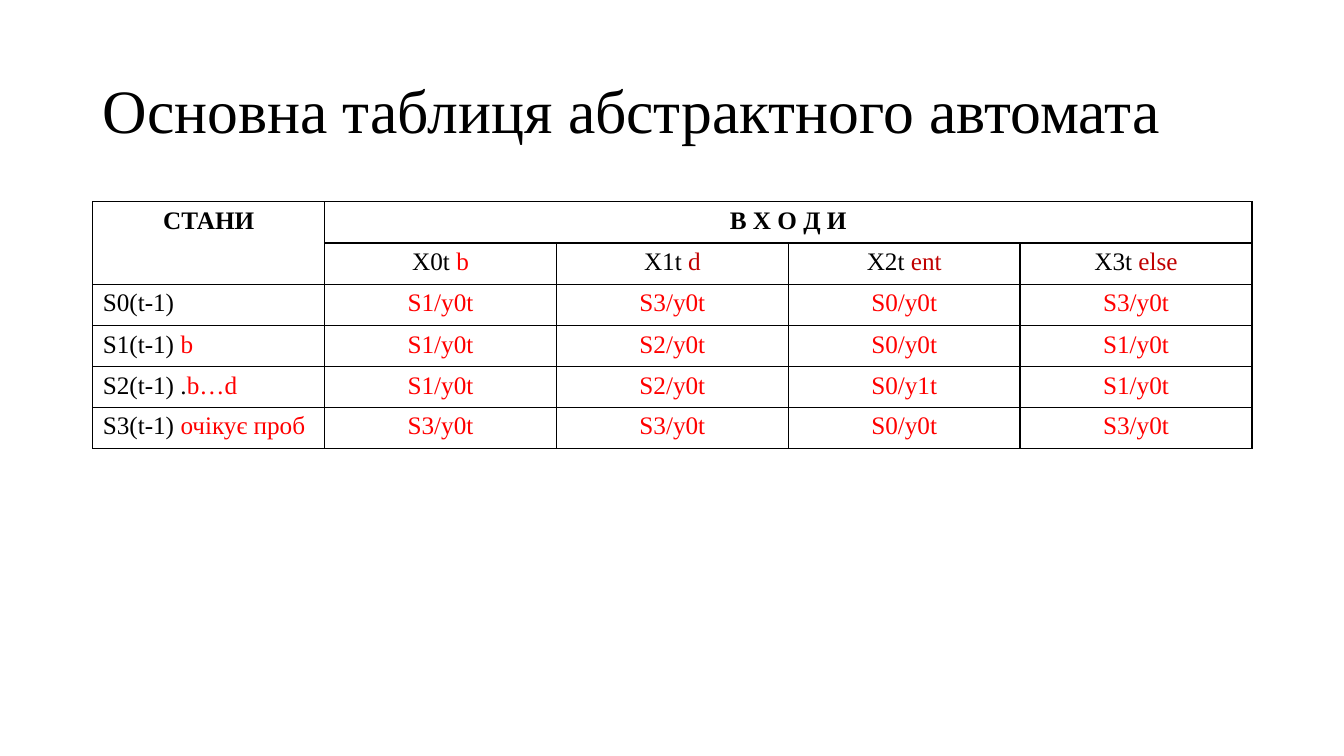
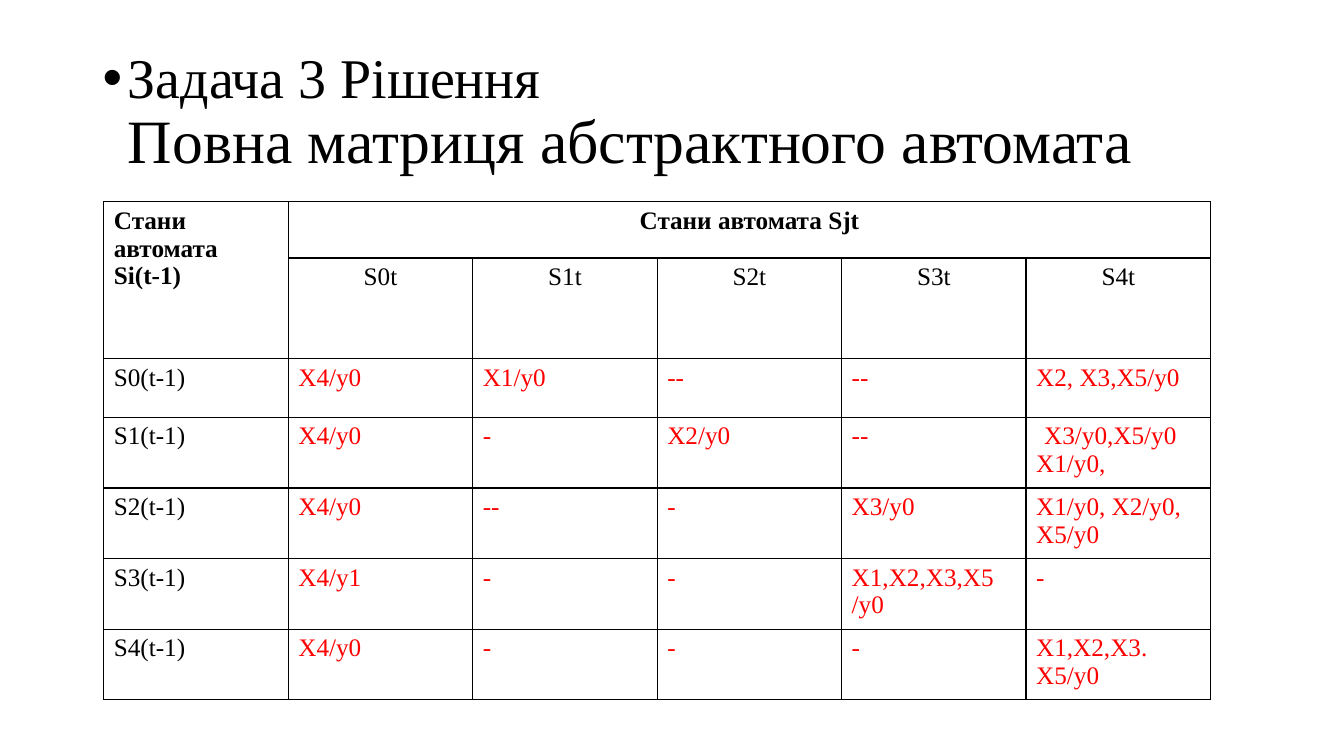
from lxml import etree
from pptx import Presentation
from pptx.dml.color import RGBColor
from pptx.enum.text import MSO_ANCHOR, PP_ALIGN
from pptx.oxml.ns import qn
from pptx.util import Emu, Inches, Pt

LEFT, CENTER, MIDDLE = PP_ALIGN.LEFT, PP_ALIGN.CENTER, MSO_ANCHOR.MIDDLE
BLACK, WHITE, RED, DARK_RED = "000000", "FFFFFF", "FF0000", "C00000"
FONT = "Times New Roman"
TITLE_BOX = (0.92, 0.4, 11.5, 1.45)
TABLE_TOP = 2

# Content: labels are (text, coloured note, note colour)
SLIDES = [
    dict(
        title=[("Основна таблиця абстрактного автомата", 44)],
        bullet=False, left=0.92, col_width=2.3,
        heights=[0.41, 0.41, 0.41, 0.41, 0.38, 0.41],
        corner="СТАНИ", corner_align=CENTER, heading="В Х О Д И",
        columns=[("Х0t ", "b", RED), ("X1t ", "d", DARK_RED),
                 ("X2t ", "ent", DARK_RED), ("X3t ", "else", DARK_RED)],
        rows=[(("S0(t-1)",), "S1/y0t", "S3/y0t", "S0/y0t", "S3/y0t"),
              (("S1(t-1) ", "b", RED), "S1/y0t", "S2/y0t", "S0/y0t", "S1/y0t"),
              (("S2(t-1) .", "b…d", RED), "S1/y0t", "S2/y0t", "S0/y1t", "S1/y0t"),
              (("S3(t-1) ", "очікує проб", RED), "S3/y0t", "S3/y0t", "S0/y0t", "S3/y0t")],
        value_align=CENTER, indents={},
    ),
    dict(
        title=[("Задача 3 Рішення", 40), ("Повна матриця абстрактного автомата", 44)],
        bullet=True, left=1.03, col_width=1.83,
        heights=[0.56, 0.92, 0.58] + [0.65] * 4,
        corner="Стани автомата\nSi(t-1)", corner_align=LEFT, heading="Стани автомата Sjt",
        columns=[("S0t",), ("S1t",), ("S2t",), ("S3t",), ("S4t",)],
        rows=[(("S0(t-1)",), "X4/y0", "X1/y0", "--", "--", "X2, X3,X5/y0"),
              (("S1(t-1)",), "X4/y0", "-", "X2/y0", "--", "X3/y0,X5/y0\nX1/y0,"),
              (("S2(t-1)",), "X4/y0", "--", "-", "X3/y0", "X1/y0, X2/y0, X5/y0"),
              (("S3(t-1)",), "X4/y1", "-", "-", "X1,X2,X3,X5\n/y0", "-"),
              (("S4(t-1)",), "X4/y0", "-", "-", "-", "X1,X2,X3.\nX5/y0")],
        value_align=LEFT, indents={(3, 5): 0.08},  # first-line indent by (row, column)
    ),
]


def rgb(value):
    return RGBColor.from_string(value)


def add_run(p, text, size=18, color=BLACK, bold=False):
    r = p.add_run()
    r.text = text
    for name, value in dict(name=FONT, size=Pt(size), bold=bold).items():
        setattr(r.font, name, value)
    r.font.color.rgb = rgb(color)


def add_title(s, lines, bullet):
    tf = s.shapes.add_textbox(*map(Inches, TITLE_BOX)).text_frame
    tf.word_wrap, tf.vertical_anchor = True, MIDDLE
    p = tf.paragraphs[0]
    p.line_spacing = 0.9
    if bullet:
        p.space_before = Pt(10)
        pPr = p._p.get_or_add_pPr()
        pPr.set("marL", str(Inches(0.25)))
        pPr.set("indent", str(Inches(-0.25)))
        etree.SubElement(pPr, qn("a:buFont")).set("typeface", "Arial")
        etree.SubElement(pPr, qn("a:buChar")).set("char", "•")
    for i, (text, size) in enumerate(lines):
        if i:
            p.add_line_break()
        add_run(p, text, size)


def style_cell(cell):
    cell.fill.solid()
    cell.fill.fore_color.rgb = rgb(WHITE)
    tcPr = cell._tc.get_or_add_tcPr()
    for i, side in enumerate(("lnL", "lnR", "lnT", "lnB")):
        ln = etree.Element(qn("a:" + side), w=str(Pt(1)))
        fill = etree.SubElement(ln, qn("a:solidFill"))
        etree.SubElement(fill, qn("a:srgbClr")).set("val", BLACK)
        tcPr.insert(i, ln)


def write_cell(cell, text, align, color=BLACK, bold=False, note=(), indent=0):
    tf = cell.text_frame
    for i, line in enumerate(text.split("\n")):
        p = tf.add_paragraph() if i else tf.paragraphs[0]
        p.alignment = align
        add_run(p, line, color=color, bold=bold)
    if note:
        add_run(p, note[0], color=note[1])
    if indent:
        tf.paragraphs[0]._p.get_or_add_pPr().set("indent", str(Inches(indent)))


def add_grid(s, d):
    n_rows, n_cols = len(d["heights"]), len(d["columns"]) + 1
    box = (d["left"], TABLE_TOP, d["col_width"] * n_cols, sum(d["heights"]))
    table = s.shapes.add_table(n_rows, n_cols, *map(Inches, box)).table
    table.first_row = table.horz_banding = False
    for row, height in zip(table.rows, d["heights"]):
        row.height = Inches(height)
    for col in table.columns:
        col.width = Inches(d["col_width"])
    for cell in table.iter_cells():
        style_cell(cell)

    # Header: state corner, heading across, column labels
    table.cell(0, 0).merge(table.cell(1, 0))
    table.cell(0, 1).merge(table.cell(0, n_cols - 1))
    write_cell(table.cell(0, 0), d["corner"], d["corner_align"], bold=True)
    write_cell(table.cell(0, 1), d["heading"], CENTER, bold=True)
    for c, (text, *note) in enumerate(d["columns"], 1):
        write_cell(table.cell(1, c), text, CENTER, note=note)

    # Body: state label, then transitions in red
    for r, ((text, *note), *values) in enumerate(d["rows"], 2):
        write_cell(table.cell(r, 0), text, LEFT, note=note)
        for c, value in enumerate(values, 1):
            write_cell(table.cell(r, c), value, d["value_align"], RED,
                       indent=d["indents"].get((r, c), 0))


def main():
    prs = Presentation()
    prs.slide_width, prs.slide_height = Emu(12192000), Inches(7.5)
    for d in SLIDES:
        s = prs.slides.add_slide(prs.slide_layouts[6])
        add_title(s, d["title"], d["bullet"])
        add_grid(s, d)
    prs.save("out.pptx")


if __name__ == "__main__":
    main()
